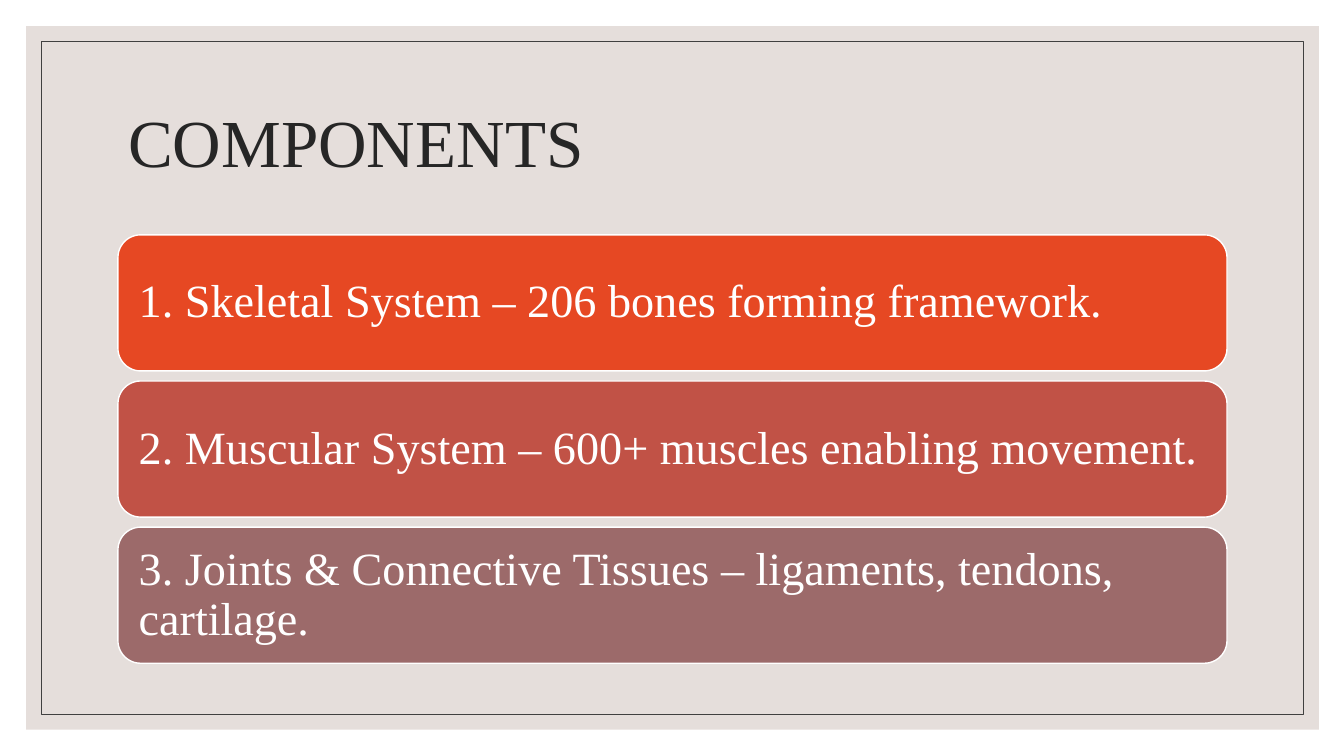
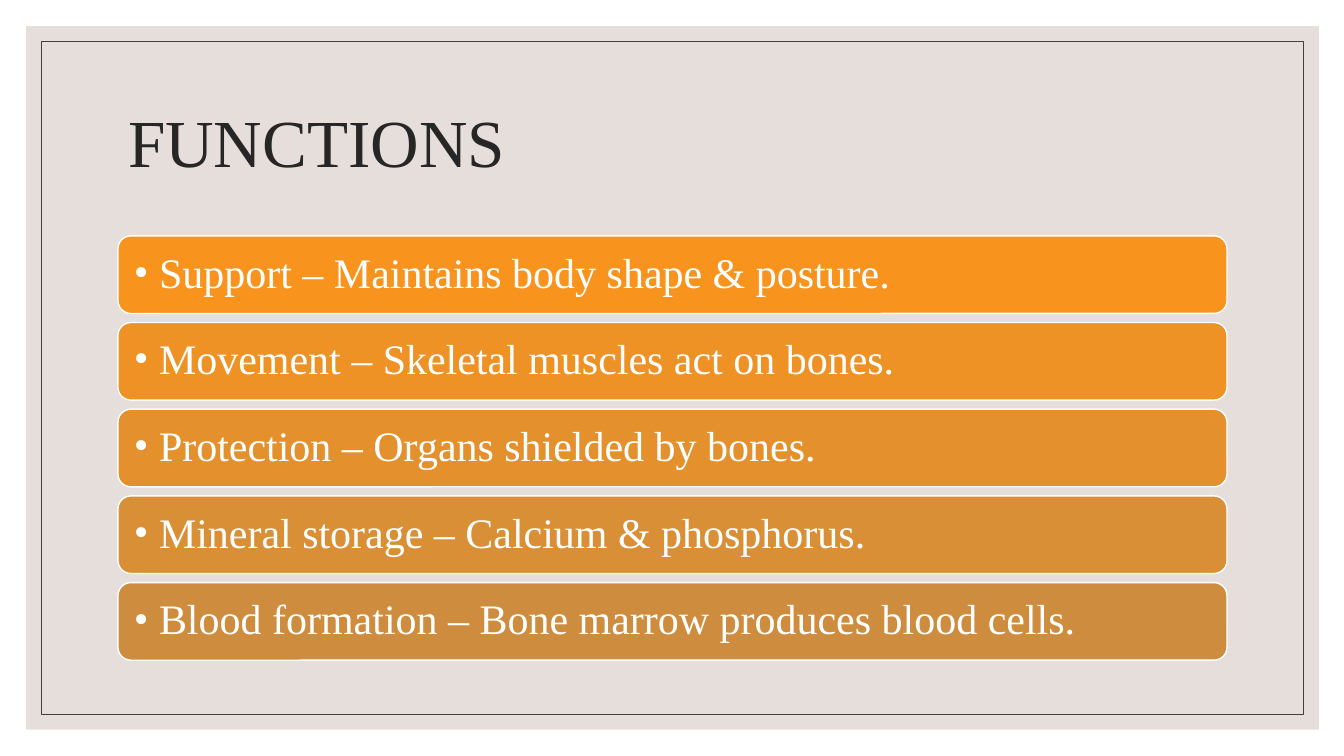
from lxml.etree import SubElement
from pptx import Presentation
from pptx.dml.color import RGBColor
from pptx.enum.shapes import MSO_SHAPE
from pptx.enum.text import MSO_ANCHOR, MSO_AUTO_SIZE, PP_ALIGN
from pptx.oxml.ns import qn
from pptx.util import Inches, Pt

FONT = "Times New Roman"
PANEL, FRAME, INK, WHITE = "E5DEDB", "404040", "262626", "FFFFFF"
LEFT, WIDTH = 1.17, 11
TITLE_ONLY = 5


def color(hex_code):
    return RGBColor.from_string(hex_code)


def add_box(slide, kind, left, top, width, height, fill=None, line=None, line_width=1):
    box = slide.shapes.add_shape(
        kind, Inches(left), Inches(top), Inches(width), Inches(height))
    box.shadow.inherit = False
    if fill:
        box.fill.solid()
        box.fill.fore_color.rgb = color(fill)
    else:
        box.fill.background()
    if line:
        box.line.color.rgb = color(line)
        box.line.width = Pt(line_width)
    else:
        box.line.fill.background()
    return box


def write_text(box, text, size, hex_code, bullet_indent=0):
    """Write one left-aligned, vertically centred paragraph."""
    frame = box.text_frame
    frame.word_wrap = True
    frame.auto_size = MSO_AUTO_SIZE.NONE
    frame.vertical_anchor = MSO_ANCHOR.MIDDLE
    para = frame.paragraphs[0]
    para.alignment = PP_ALIGN.LEFT
    para.line_spacing = 0.9
    if bullet_indent:
        properties = para._p.get_or_add_pPr()
        properties.set("marL", str(Inches(bullet_indent)))
        properties.set("indent", str(-Inches(bullet_indent)))
        SubElement(properties, qn("a:buFont"), typeface=FONT)
        SubElement(properties, qn("a:buChar"), char="•")
    span = para.add_run()
    span.text = text
    span.font.name = FONT
    span.font.size = Pt(size)
    span.font.color.rgb = color(hex_code)


def add_framed_slide(deck, heading):
    """Add a slide with the tinted panel, its thin frame and a title."""
    slide = deck.slides.add_slide(deck.slide_layouts[TITLE_ONLY])
    title = slide.shapes.title
    add_box(slide, MSO_SHAPE.RECTANGLE, 0.26, 0.26, 12.82, 6.98, fill=PANEL)
    frame = add_box(slide, MSO_SHAPE.RECTANGLE, 0.41, 0.41, 12.52, 6.68,
                    line=FRAME, line_width=0.5)
    frame.element.addnext(title.element)
    title.left, title.top = Inches(LEFT), Inches(0.7)
    title.width, title.height = Inches(WIDTH), Inches(1.5)
    write_text(title, heading, 48, INK)
    return slide


def add_bars(slide, bars, top, height, step, size, inset, bullet_indent=0):
    """Stack full-width rounded bars from (text, fill) pairs."""
    for index, (text, fill) in enumerate(bars):
        bar = add_box(slide, MSO_SHAPE.ROUNDED_RECTANGLE, LEFT, top + index * step,
                      WIDTH, height, fill=fill, line=WHITE)
        frame = bar.text_frame
        frame.margin_left = frame.margin_right = Inches(inset)
        frame.margin_top = frame.margin_bottom = Inches(inset)
        write_text(bar, text, size, WHITE, bullet_indent)


def main():
    deck = Presentation()
    deck.slide_width, deck.slide_height = Inches(13.33), Inches(7.5)

    components = add_framed_slide(deck, "COMPONENTS")
    add_bars(components, [
        ("1. Skeletal System – 206 bones forming framework.", "E64823"),
        ("2. Muscular System – 600+ muscles enabling movement.", "C15246"),
        ("3. Joints & Connective Tissues – ligaments, tendons, cartilage.", "9C6A6A"),
    ], top=2.33, height=1.35, step=1.45, size=33, inset=0.14)

    functions = add_framed_slide(deck, "FUNCTIONS")
    add_bars(functions, [
        ("Support – Maintains body shape & posture.", "F8931D"),
        ("Movement – Skeletal muscles act on bones.", "EE9225"),
        ("Protection – Organs shielded by bones.", "E3902D"),
        ("Mineral storage – Calcium & phosphorus.", "D98F35"),
        ("Blood formation – Bone marrow produces blood cells.", "CE8D3E"),
    ], top=2.34, height=0.77, step=0.86, size=30, inset=0.12, bullet_indent=0.25)

    deck.save("out.pptx")


if __name__ == "__main__":
    main()
